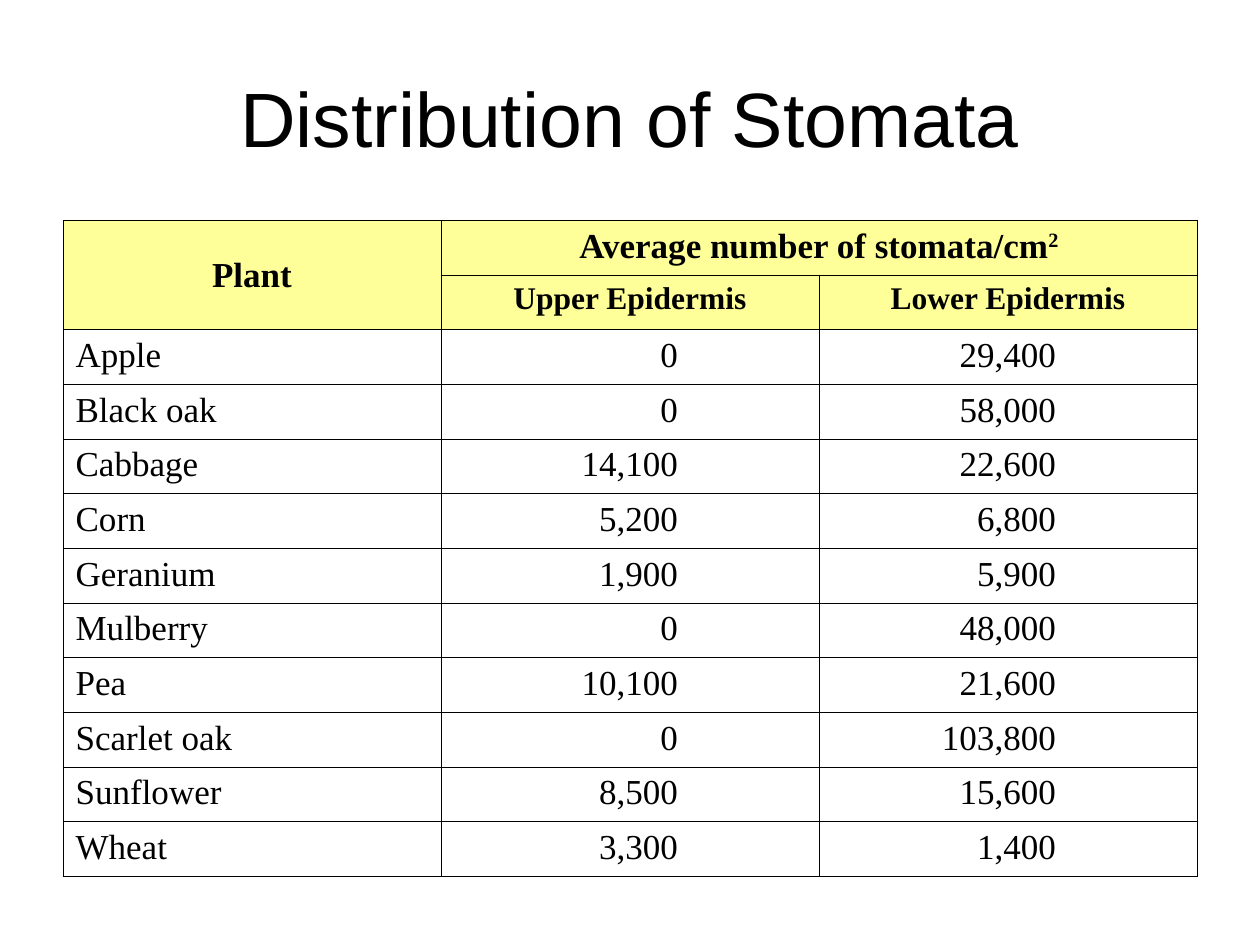
"""Build a slide with a table of stomata counts on plant leaves."""
from lxml.etree import SubElement
from pptx import Presentation
from pptx.dml.color import RGBColor
from pptx.enum.text import MSO_ANCHOR, PP_ALIGN
from pptx.oxml.ns import qn
from pptx.util import Inches, Pt

BLACK = RGBColor(0x00, 0x00, 0x00)
YELLOW = RGBColor(0xFF, 0xFF, 0x99)
BORDER = Pt(0.45)
TABLE_HEIGHT = 5.18
SUBHEAD_HEIGHT = 0.41
NUMBER_INSET = 1.12

COUNTS = [
    ("Apple", "0", "29,400"),
    ("Black oak", "0", "58,000"),
    ("Cabbage", "14,100", "22,600"),
    ("Corn", "5,200", "6,800"),
    ("Geranium", "1,900", "5,900"),
    ("Mulberry", "0", "48,000"),
    ("Pea", "10,100", "21,600"),
    ("Scarlet oak", "0", "103,800"),
    ("Sunflower", "8,500", "15,600"),
    ("Wheat", "3,300", "1,400"),
]


class SlideBuilder:
    """Hold the fonts and the current slide, and add elements to it."""

    def __init__(self, slide, title_font="Arial", table_font="Times New Roman"):
        self.slide = slide
        self.title_font = title_font
        self.table_font = table_font

    def set_text(self, tf, text, font, size, align, bold=False):
        """Set one paragraph of text and format its run."""
        tf.text = text
        p = tf.paragraphs[0]
        p.alignment = align
        self.style(p.runs[0], font, size, bold)
        return p

    def style(self, r, font, size, bold):
        """Format a run."""
        r.font.name = font
        r.font.size = Pt(size)
        r.font.bold = bold
        r.font.color.rgb = BLACK

    def title(self, text, left, top, width, height):
        """Add the centred slide title."""
        box = self.slide.shapes.add_textbox(
            Inches(left), Inches(top), Inches(width), Inches(height))
        tf = box.text_frame
        tf.word_wrap = True
        tf.vertical_anchor = MSO_ANCHOR.MIDDLE
        self.set_text(tf, text, self.title_font, 44, PP_ALIGN.CENTER)

    def table(self, left, top, widths, heights):
        """Add a plain table with thin black borders."""
        frame = self.slide.shapes.add_table(
            len(heights), len(widths), Inches(left), Inches(top),
            Inches(sum(widths)), Inches(sum(heights)))
        table = frame.table
        table.first_row = table.horz_banding = False
        for column, width in zip(table.columns, widths):
            column.width = Inches(width)
        for row, height in zip(table.rows, heights):
            row.height = Inches(height)
        for cell in table.iter_cells():
            self.border(cell)
            cell.fill.background()
        return table

    def border(self, cell):
        """Draw the four borders of a cell."""
        tcPr = cell._tc.get_or_add_tcPr()
        for side in ("a:lnL", "a:lnR", "a:lnT", "a:lnB"):
            line = SubElement(tcPr, qn(side), w=str(BORDER))
            fill = SubElement(line, qn("a:solidFill"))
            SubElement(fill, qn("a:srgbClr"), val=str(BLACK))

    def heading(self, cell, text, size=20):
        """Fill a heading cell and return its paragraph."""
        cell.fill.solid()
        cell.fill.fore_color.rgb = YELLOW
        return self.set_text(cell.text_frame, text, self.table_font, size,
                             PP_ALIGN.CENTER, bold=True)

    def superscript(self, p, text, size=20):
        """Append a raised bold run to a heading."""
        r = p.add_run()
        r.text = text
        self.style(r, self.table_font, size, True)
        r._r.get_or_add_rPr().set("baseline", "30000")

    def value(self, cell, text, align):
        """Fill in a body cell, with numbers lined up on their last digit."""
        if align == PP_ALIGN.RIGHT:
            cell.margin_right = Inches(NUMBER_INSET)
        self.set_text(cell.text_frame, text, self.table_font, 20, align)


def main():
    """Lay out the title and the table, then save."""
    prs = Presentation()
    prs.slide_width, prs.slide_height = Inches(10), Inches(7.5)
    s = SlideBuilder(prs.slides.add_slide(prs.slide_layouts[6]))
    s.title("Distribution of Stomata", 0.5, 0.3, 9, 1.25)

    row_height = (TABLE_HEIGHT - SUBHEAD_HEIGHT) / (len(COUNTS) + 1)
    heights = [row_height, SUBHEAD_HEIGHT] + [row_height] * len(COUNTS)
    table = s.table(0.5, 1.75, [3, 3, 3], heights)

    plant = table.cell(0, 0)
    plant.merge(table.cell(1, 0))
    plant.vertical_anchor = MSO_ANCHOR.MIDDLE
    s.heading(plant, "Plant")
    average = table.cell(0, 1)
    average.merge(table.cell(0, 2))
    s.superscript(s.heading(average, "Average number of stomata/cm"), "2")
    s.heading(table.cell(1, 1), "Upper Epidermis", 18)
    s.heading(table.cell(1, 2), "Lower Epidermis", 18)

    aligns = (PP_ALIGN.LEFT, PP_ALIGN.RIGHT, PP_ALIGN.RIGHT)
    for row, counts in enumerate(COUNTS, start=2):
        for column, (text, align) in enumerate(zip(counts, aligns)):
            s.value(table.cell(row, column), text, align)

    prs.save("out.pptx")


if __name__ == "__main__":
    main()
